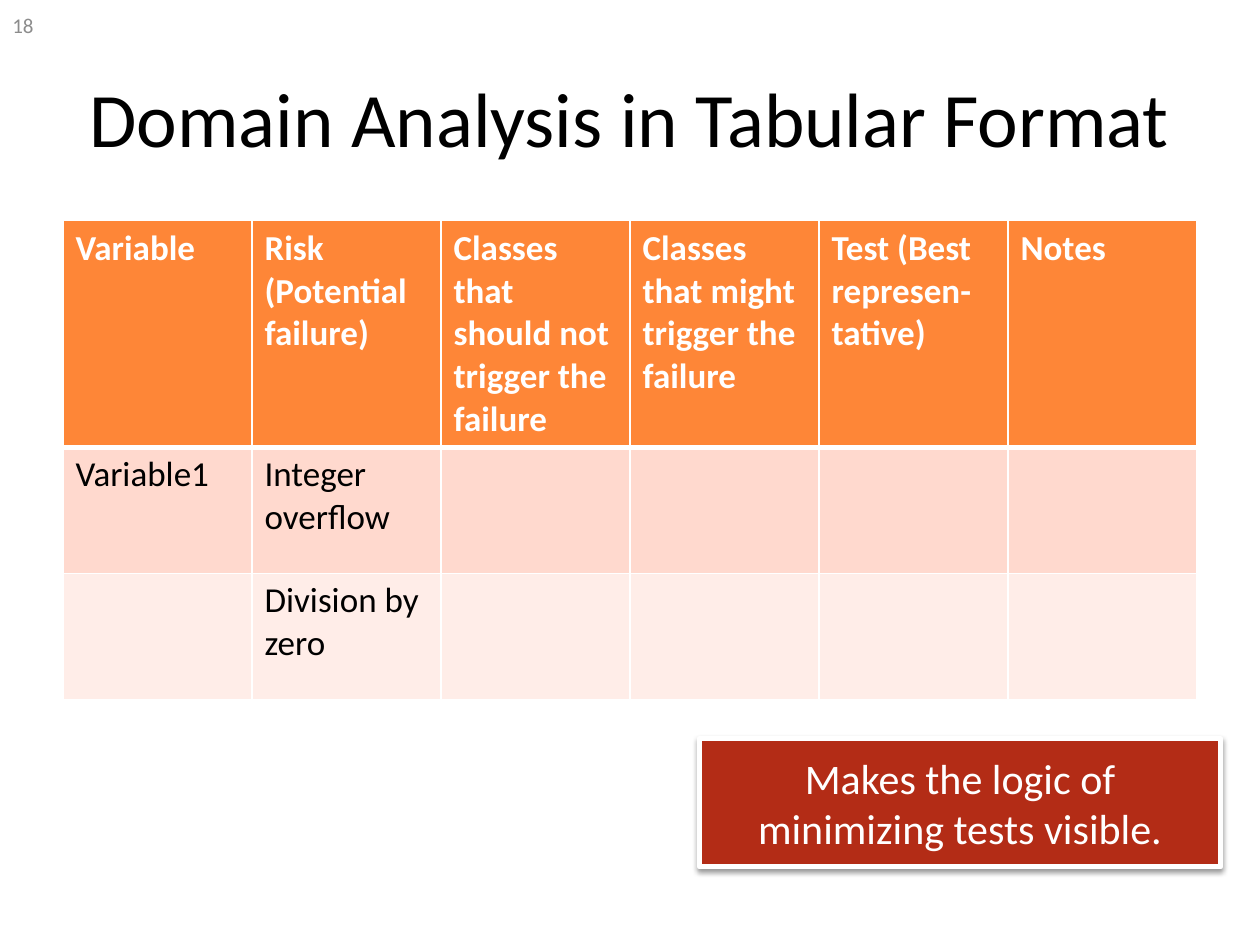
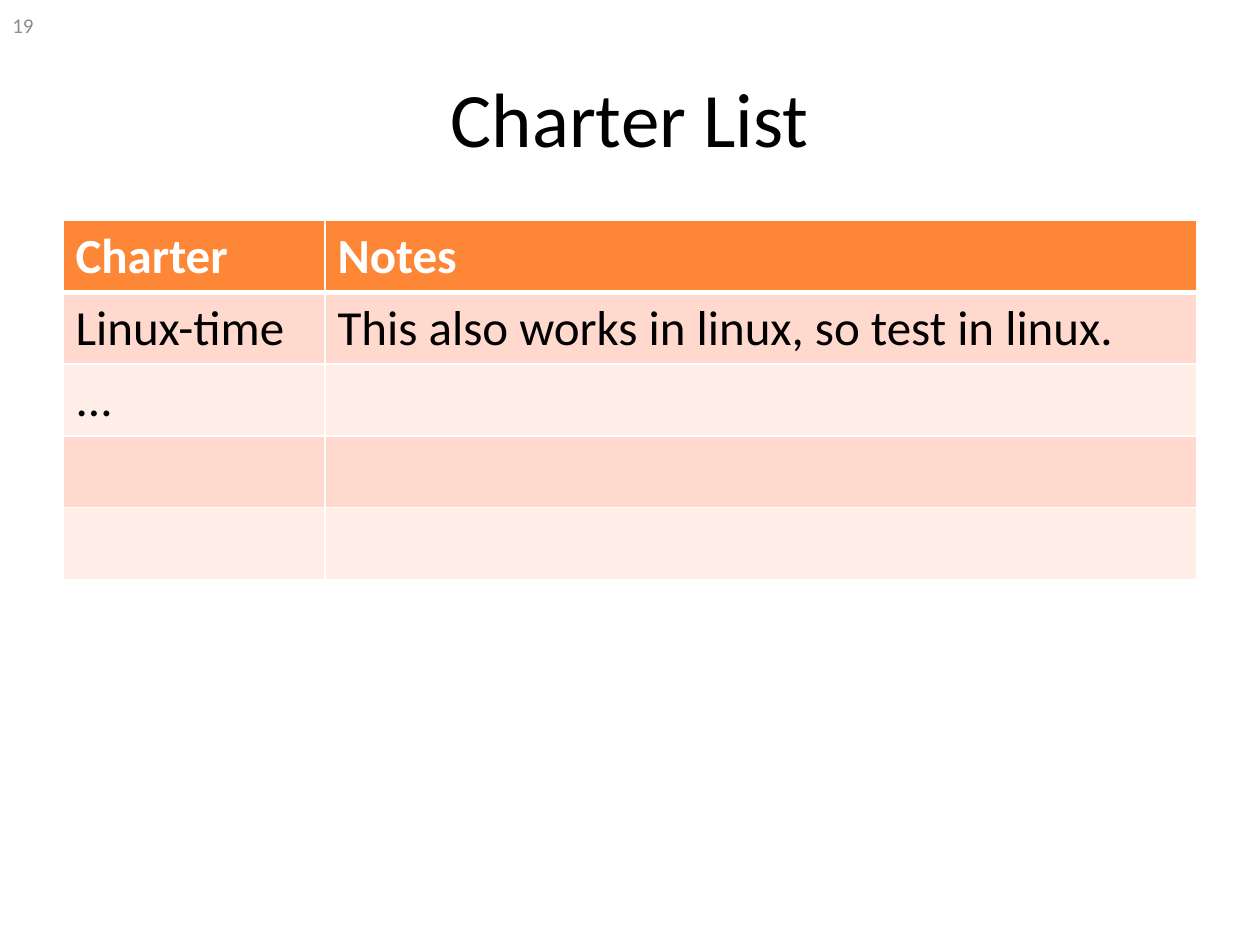
from dataclasses import dataclass

from lxml.etree import SubElement
from pptx import Presentation
from pptx.dml.color import RGBColor
from pptx.enum.shapes import MSO_SHAPE
from pptx.enum.text import MSO_ANCHOR, PP_ALIGN
from pptx.oxml.ns import qn
from pptx.shapes.autoshape import Shape
from pptx.slide import Slide
from pptx.table import _Cell
from pptx.text.text import TextFrame
from pptx.util import Inches, Pt

FONT = "Calibri"
COLORS = {
    "ink": "000000",
    "paper": "FFFFFF",
    "header": "FE8637",
    "odd_row": "FFD9CE",
    "even_row": "FFEDE8",
    "callout": "B32C16",
    "page_number": "8C8C8C",
}
TABLE_LEFT, TABLE_TOP = 0.5, 1.75


@dataclass(frozen=True)
class Box:
    left: float
    top: float
    width: float
    height: float

    def lengths(self) -> tuple:
        return tuple(map(Inches, (self.left, self.top, self.width, self.height)))


@dataclass(frozen=True)
class Grid:
    columns: tuple[float, ...]
    row_heights: tuple[float, ...]
    size: int
    rows: tuple[tuple[str, ...], ...]


@dataclass(frozen=True)
class Page:
    number: int
    title: str
    grid: Grid
    callout: str = ""


TITLE_BOX = Box(0.5, 0.3, 9, 1.25)
NUMBER_BOX = Box(0, 0, 2.33, 0.4)
CALLOUT_BOX = Box(5.55, 5.86, 4.14, 1.02)

PAGES = (
    Page(
        18,
        "Domain Analysis in Tabular Format",
        Grid(
            (1.5,) * 6,
            (1.8, 1, 1),
            20,
            (
                (
                    "Variable",
                    "Risk (Potential failure)",
                    "Classes that should not trigger the failure",
                    "Classes that might trigger the failure",
                    "Test (Best represen-tative)",
                    "Notes",
                ),
                ("Variable1", "Integer overflow"),
                ("", "Division by zero"),
            ),
        ),
        "Makes the logic of minimizing tests visible.",
    ),
    Page(
        19,
        "Charter List",
        Grid(
            (2.08, 6.92),
            (0.57,) * 5,
            28,
            (
                ("Charter", "Notes"),
                ("Linux-time", "This also works in linux, so test in linux."),
                ("...",),
            ),
        ),
    ),
)


def rgb(name: str) -> RGBColor:
    return RGBColor.from_string(COLORS[name])


def write(frame: TextFrame, text: str, *, size: int, color: str = "ink",
          bold: bool = False, align: PP_ALIGN = PP_ALIGN.LEFT) -> None:
    frame.word_wrap = True
    paragraph = frame.paragraphs[0]
    paragraph.alignment = align
    run = paragraph.add_run()
    run.text = text
    run.font.name = FONT
    run.font.size = Pt(size)
    run.font.bold = bold
    run.font.color.rgb = rgb(color)


def add_label(slide: Slide, box: Box, text: str, **style) -> None:
    frame = slide.shapes.add_textbox(*box.lengths()).text_frame
    frame.vertical_anchor = MSO_ANCHOR.MIDDLE
    write(frame, text, **style)


def set_borders(cell: _Cell, top: float, bottom: float) -> None:
    properties = cell._tc.get_or_add_tcPr()
    widths = {"lnL": 1, "lnR": 1, "lnT": top, "lnB": bottom}
    for position, (side, width) in enumerate(widths.items()):
        border = SubElement(properties, qn(f"a:{side}"), w=str(Pt(width)))
        fill = SubElement(border, qn("a:solidFill"))
        SubElement(fill, qn("a:srgbClr"), val=COLORS["paper"])
        properties.insert(position, border)


def add_grid(slide: Slide, grid: Grid) -> None:
    box = Box(TABLE_LEFT, TABLE_TOP, sum(grid.columns), sum(grid.row_heights))
    table = slide.shapes.add_table(
        len(grid.row_heights), len(grid.columns), *box.lengths()
    ).table
    for column, width in zip(table.columns, grid.columns):
        column.width = Inches(width)
    for index, (row, height) in enumerate(zip(table.rows, grid.row_heights)):
        row.height = Inches(height)
        is_header = index == 0
        band = "header" if is_header else "odd_row" if index % 2 else "even_row"
        texts = grid.rows[index] if index < len(grid.rows) else ()
        for position, cell in enumerate(row.cells):
            cell.fill.solid()
            cell.fill.fore_color.rgb = rgb(band)
            set_borders(cell, top=3 if index == 1 else 1, bottom=3 if is_header else 1)
            if position < len(texts) and texts[position]:
                write(cell.text_frame, texts[position], size=grid.size,
                      color="paper" if is_header else "ink", bold=is_header)


def add_shadow(shape: Shape) -> None:
    shape.shadow.inherit = False
    effects = shape._element.spPr.find(qn("a:effectLst"))
    shadow = SubElement(effects, qn("a:outerShdw"), blurRad=str(Pt(3.1)),
                        dist=str(Pt(1.6)), dir=str(90 * 60000), rotWithShape="0")
    color = SubElement(shadow, qn("a:srgbClr"), val=COLORS["ink"])
    SubElement(color, qn("a:alpha"), val="38000")


def add_callout(slide: Slide, text: str) -> None:
    callout = slide.shapes.add_shape(MSO_SHAPE.RECTANGLE, *CALLOUT_BOX.lengths())
    callout.fill.solid()
    callout.fill.fore_color.rgb = rgb("callout")
    callout.line.color.rgb = rgb("paper")
    callout.line.width = Pt(3)
    add_shadow(callout)
    callout.text_frame.vertical_anchor = MSO_ANCHOR.MIDDLE
    write(callout.text_frame, text, size=24, color="paper", align=PP_ALIGN.CENTER)


def main() -> None:
    deck = Presentation()
    deck.slide_width, deck.slide_height = Inches(10), Inches(7.5)
    for page in PAGES:
        slide = deck.slides.add_slide(deck.slide_layouts[6])
        add_label(slide, TITLE_BOX, page.title, size=44, align=PP_ALIGN.CENTER)
        add_grid(slide, page.grid)
        if page.callout:
            add_callout(slide, page.callout)
        add_label(slide, NUMBER_BOX, str(page.number), size=12, color="page_number")
    deck.save("out.pptx")


if __name__ == "__main__":
    main()
